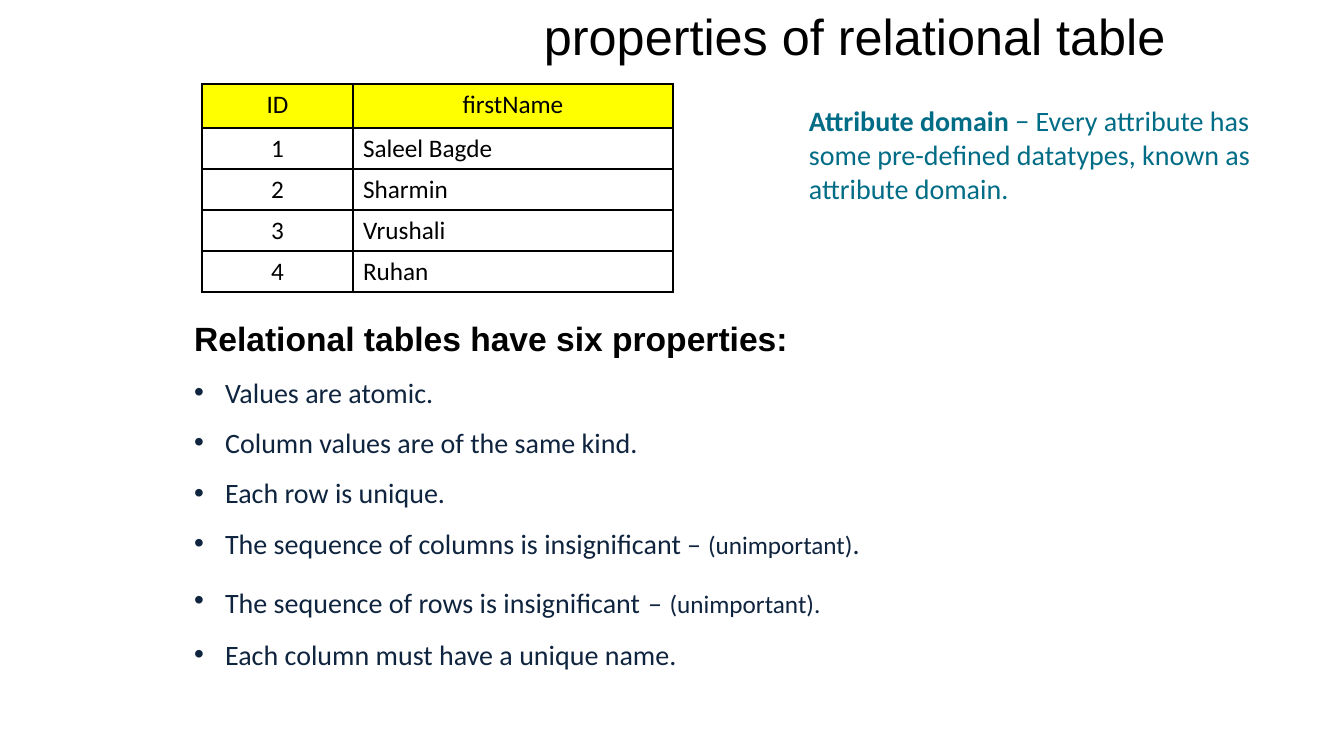
from lxml import etree
from pptx import Presentation
from pptx import util as u
from pptx.dml.color import RGBColor
from pptx.enum import text
from pptx.oxml.ns import qn

# Content
TITLE = "properties of relational table"
ROWS = [("ID", "firstName"), ("1", "Saleel Bagde"), ("2", "Sharmin"),
        ("3", "Vrushali"), ("4", "Ruhan")]
HEADING = "Relational tables have six properties:"
PROPERTIES = [  # each run: wording, size
    [("Values are atomic.", 20)],
    [("Column values are of the same kind.", 20)],
    [("Each row is unique.", 20)],
    [("The sequence of columns is insignificant – ", 20), ("(unimportant)", 18), (".", 20)],
    [("The sequence of rows is insignificant", 20), (" ", 24), ("–", 20), (" ", 24),
     ("(unimportant).", 18)],
    [("Each column must have a unique name.", 20)],
]
NOTE = [("Attribute domain", True),
        (" − Every attribute has some pre-defined datatypes, known as attribute domain.", False)]

# Colours
BLACK = RGBColor(0x00, 0x00, 0x00)
NAVY = RGBColor(0x0F, 0x24, 0x3E)
TEAL = RGBColor(0x00, 0x6C, 0x86)
YELLOW = RGBColor(0xFF, 0xFF, 0x00)

# Layout in px
EMU_PER_PX = 914400 / 100.8
SLIDE_SIZE = (1344, 756)
TITLE_BOX = (168, 0, 1008, 72)
LIST_BOX = (184, 313, 975, 367)
NOTE_BOX = (799, 99, 464, 112)
TABLE_ORIGIN = (202, 84)
COLUMN_WIDTHS = (151, 320)
ROW_HEIGHTS = (44, 41, 41, 41, 41)
BULLET_INDENT = 31


def px(value):
    return u.Emu(round(value * EMU_PER_PX))


def place(shape, box):
    for name, value in zip(("left", "top", "width", "height"), box):
        setattr(shape, name, px(value))
    frame = shape.text_frame
    frame.word_wrap = True
    frame.auto_size = text.MSO_AUTO_SIZE.NONE
    frame.vertical_anchor = text.MSO_ANCHOR.TOP
    return frame


def add_run(paragraph, wording, size, name="Calibri", color=BLACK, bold=False):
    run = paragraph.add_run()
    run.text = wording
    for key, value in {"size": u.Pt(size), "name": name, "bold": bold}.items():
        setattr(run.font, key, value)
    run.font.color.rgb = color


def set_bullet(paragraph, character=None):
    indent = px(BULLET_INDENT) if character else 0
    properties = paragraph._p.get_or_add_pPr()
    properties.set("marL", str(indent))
    properties.set("indent", str(-indent))
    if character:
        etree.SubElement(properties, qn("a:buFont"), typeface="Arial")
        etree.SubElement(properties, qn("a:buChar"), char=character)
    else:
        etree.SubElement(properties, qn("a:buNone"))


def set_borders(cell):
    properties = cell._tc.get_or_add_tcPr()
    for index, side in enumerate(("lnL", "lnR", "lnT", "lnB")):
        line = etree.Element(qn("a:" + side), w=str(u.Pt(1)))
        fill = etree.SubElement(line, qn("a:solidFill"))
        etree.SubElement(fill, qn("a:srgbClr"), val=str(BLACK))
        properties.insert(index, line)


presentation = Presentation()
presentation.slide_width, presentation.slide_height = map(px, SLIDE_SIZE)
slide = presentation.slides.add_slide(presentation.slide_layouts[1])

# Property list
frame = place(slide.placeholders[1], LIST_BOX)
heading = frame.paragraphs[0]
set_bullet(heading)
heading.space_before = u.Pt(0)
add_run(heading, HEADING, 24, "Arial", bold=True)
for runs in PROPERTIES:
    paragraph = frame.add_paragraph()
    set_bullet(paragraph, "•")
    paragraph.space_before = u.Pt(0)
    paragraph.line_spacing = 1.5
    for wording, size in runs:
        add_run(paragraph, wording, size, color=NAVY)

# Title
paragraph = place(slide.shapes.title, TITLE_BOX).paragraphs[0]
paragraph.alignment = text.PP_ALIGN.RIGHT
add_run(paragraph, TITLE, 36, "Arial")

# Table
table_box = (*TABLE_ORIGIN, sum(COLUMN_WIDTHS), sum(ROW_HEIGHTS))
table = slide.shapes.add_table(len(ROWS), len(COLUMN_WIDTHS), *map(px, table_box)).table
table.first_row = table.horz_banding = False
for column, width in zip(table.columns, COLUMN_WIDTHS):
    column.width = px(width)
for row_index, (values, height) in enumerate(zip(ROWS, ROW_HEIGHTS)):
    table.rows[row_index].height = px(height)
    for column_index, value in enumerate(values):
        cell = table.cell(row_index, column_index)
        is_header = row_index == 0
        if is_header:
            cell.fill.solid()
            cell.fill.fore_color.rgb = YELLOW
        else:
            cell.fill.background()
        set_borders(cell)
        paragraph = cell.text_frame.paragraphs[0]
        centred = is_header or column_index == 0
        paragraph.alignment = text.PP_ALIGN.CENTER if centred else text.PP_ALIGN.LEFT
        add_run(paragraph, value, 18)

# Attribute note
note = slide.shapes.add_textbox(*map(px, NOTE_BOX))
paragraph = place(note, NOTE_BOX).paragraphs[0]
for wording, bold in NOTE:
    add_run(paragraph, wording, 20, color=TEAL, bold=bold)

presentation.save("out.pptx")
